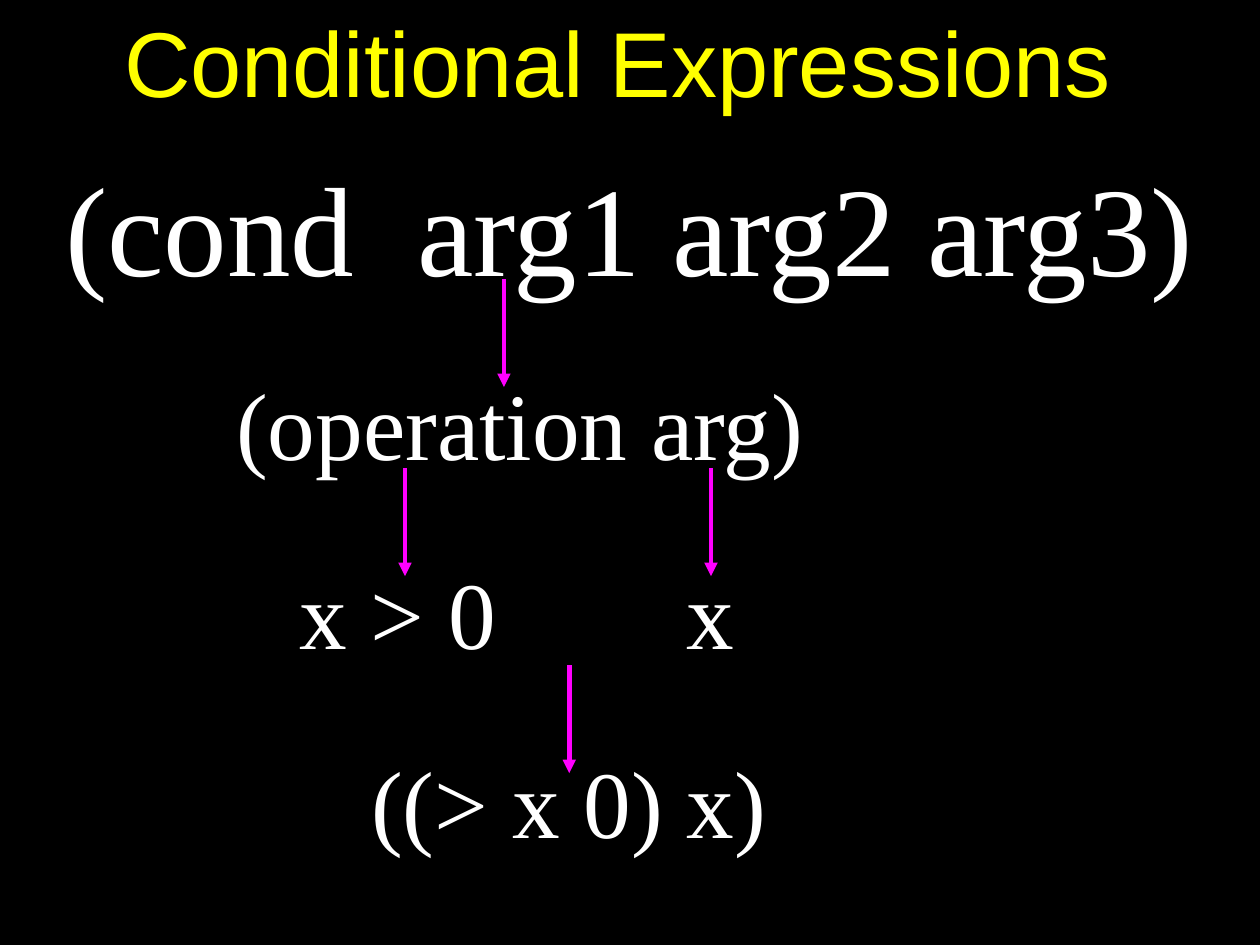
from dataclasses import dataclass

from lxml.etree import SubElement
from pptx import Presentation
from pptx.dml.color import RGBColor
from pptx.enum.shapes import MSO_CONNECTOR
from pptx.enum.text import PP_ALIGN
from pptx.oxml.ns import qn
from pptx.util import Cm, Pt


@dataclass(frozen=True)
class Theme:
    """Colours, fonts and sizes of the slide."""
    background: RGBColor = RGBColor(0, 0, 0)
    title: RGBColor = RGBColor(255, 255, 0)
    code: RGBColor = RGBColor(255, 255, 255)
    arrow: RGBColor = RGBColor(255, 0, 255)
    title_font: str = "Arial"
    code_font: str = "Times New Roman"
    title_size: int = 58
    main_size: int = 80
    part_size: int = 60
    arrow_width: float = 2.83


THEME = Theme()
PART_HEIGHT = 2.6
ARROW_LENGTH = 2.4


def add_text(s, text, box, size, font=THEME.code_font, color=THEME.code,
             align=PP_ALIGN.LEFT):
    """Add a one-line text box; box is left, top, width, height in cm."""
    tf = s.shapes.add_textbox(*map(Cm, box)).text_frame
    tf.word_wrap = True
    p = tf.paragraphs[0]
    p.alignment = align
    r = p.add_run()
    r.text = text
    r.font.name = font
    r.font.size = Pt(size)
    r.font.color.rgb = color


def add_part(s, text, left, top, width):
    """Add a smaller expression below the main one."""
    add_text(s, text, (left, top, width, PART_HEIGHT), THEME.part_size)


def add_down_arrow(s, x, top):
    """Add a vertical arrow that points down."""
    c = s.shapes.add_connector(MSO_CONNECTOR.STRAIGHT, Cm(x), Cm(top),
                               Cm(x), Cm(top + ARROW_LENGTH))
    c.line.color.rgb = THEME.arrow
    c.line.width = Pt(THEME.arrow_width)
    SubElement(c.line._get_or_add_ln(), qn("a:tailEnd"), type="triangle")
    SubElement(c._element.spPr, qn("a:effectLst"))


def main():
    """Build the slide and save it."""
    prs = Presentation()
    prs.slide_width, prs.slide_height = Cm(28), Cm(21)
    s = prs.slides.add_slide(prs.slide_layouts[6])
    s.background.fill.solid()
    s.background.fill.fore_color.rgb = THEME.background

    add_text(s, "Conditional Expressions", (2.5, 0, 22.45, 2.72),
             THEME.title_size, THEME.title_font, THEME.title, PP_ALIGN.CENTER)
    add_text(s, "(cond  arg1 arg2 arg3)", (1.2, 3.2, 25.6, 3.38),
             THEME.main_size)
    for text, left, top, width in (
        ("(operation arg)", 5, 8, 13.64),
        ("x > 0", 6.4, 12.2, 5.4),
        ("x", 15, 12.2, 2.6),
        ("((> x 0) x)", 8, 16.4, 9.8),
    ):
        add_part(s, text, left, top, width)
    for x, top in ((11.2, 6.2), (9, 10.4), (15.8, 10.4), (12.65, 14.78)):
        add_down_arrow(s, x, top)

    prs.save("out.pptx")


if __name__ == "__main__":
    main()
